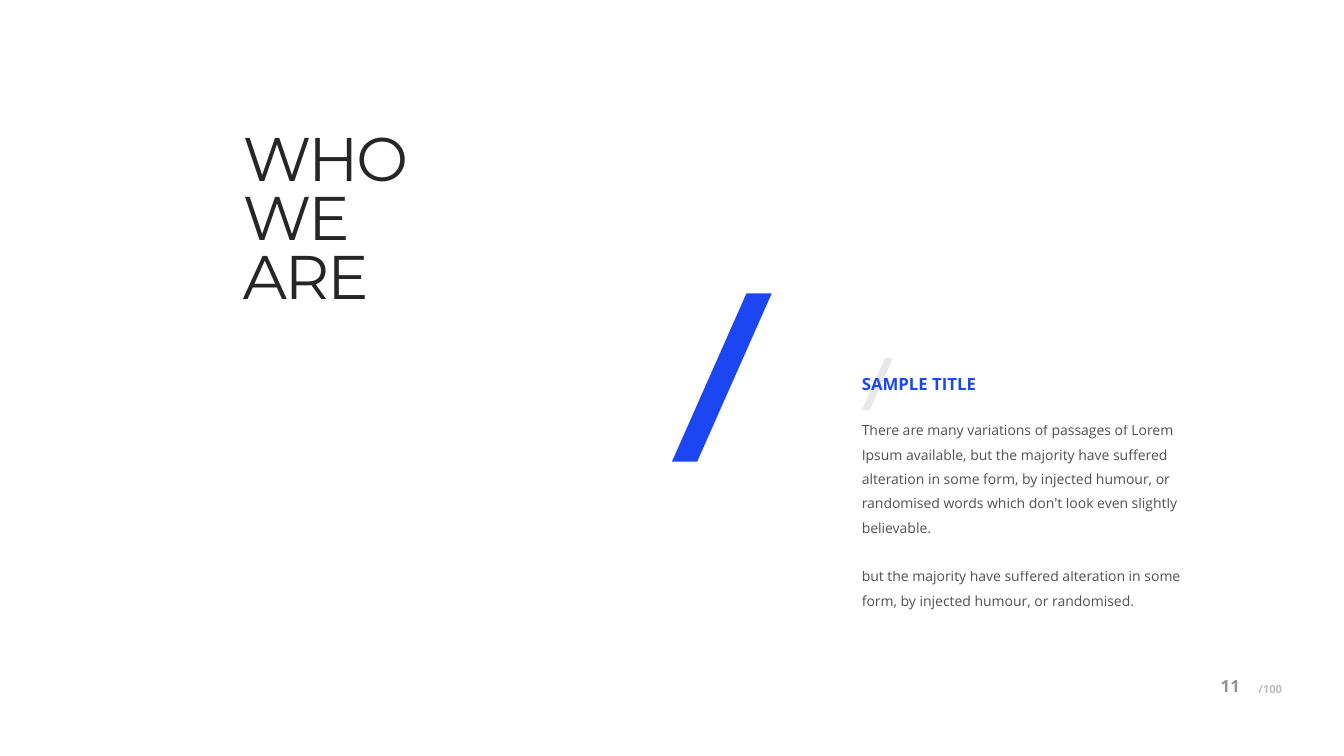
from lxml import etree
from pptx import Presentation
from pptx.dml.color import RGBColor
from pptx.enum import shapes, text
from pptx.oxml import ns
from pptx.util import Pt

INK = RGBColor(0x26, 0x26, 0x26)
BLUE = RGBColor(0x1D, 0x46, 0xF3)
HEADING_FONT = "Montserrat"
BODY_FONT = "Open Sans"

TITLE = "WHO\nWE\nARE"
SUBTITLE = "SAMPLE TITLE"
BODY = [
    "There are many variations of passages of Lorem Ipsum available, but the "
    "majority have suffered alteration in some form, by injected humour, or "
    "randomised words which don't look even slightly believable.",
    "but the majority have suffered alteration in some form, by injected "
    "humour, or randomised.",
]


def set_opacity(element, percent):
    for color in element.iter(ns.qn("a:srgbClr")):
        etree.SubElement(color, ns.qn("a:alpha"), val=str(percent * 1000))


def add_text(slide, box, paragraphs, size, font=BODY_FONT, color=INK, bold=False,
             opacity=100, spacing=None, gap=0, top=0, bottom=0, wrap=True,
             anchor=text.MSO_ANCHOR.TOP, align=text.PP_ALIGN.LEFT):
    shape = slide.shapes.add_textbox(*(Pt(length) for length in box))
    frame = shape.text_frame
    frame.word_wrap = wrap
    frame.vertical_anchor = anchor
    frame.margin_left = frame.margin_right = 0
    frame.margin_top, frame.margin_bottom = Pt(top), Pt(bottom)
    for index, wording in enumerate(paragraphs):
        paragraph = frame.add_paragraph() if index else frame.paragraphs[0]
        paragraph.text = wording
        paragraph.alignment = align
        paragraph.line_spacing = spacing
        if index:
            paragraph.space_before = Pt(gap)
        paragraph.font.name = font
        paragraph.font.size = Pt(size)
        paragraph.font.bold = bold
        paragraph.font.color.rgb = color
    if opacity < 100:
        set_opacity(frame._txBody, opacity)
    return shape


def add_slash(slide, box, color, opacity=100):
    slash = slide.shapes.add_shape(
        shapes.MSO_SHAPE.PARALLELOGRAM, *(Pt(length) for length in box))
    slash.adjustments[0] = 0.747
    slash.shadow.inherit = False
    slash.line.fill.background()
    slash.fill.solid()
    slash.fill.fore_color.rgb = color
    if opacity < 100:
        set_opacity(slash._element.spPr, opacity)


def add_page_number(slide, left, top):
    middle = text.MSO_ANCHOR.MIDDLE
    add_text(slide, (left + 3.6, top + 2.2, 40.3, 18), ["/100"], 8, bold=True,
             opacity=30, anchor=middle, align=text.PP_ALIGN.RIGHT)
    add_text(slide, (left, top, 40.3, 18), ["11"], 12, bold=True,
             opacity=50, anchor=middle)


def add_heading(slide, box):
    heading = add_text(slide, box, [TITLE], 44, HEADING_FONT, spacing=0.8, top=15.1)
    for run in heading.text_frame.paragraphs[0].runs:
        run.font._element.set("spc", "-150")


def add_description(slide, left, top, width):
    add_slash(slide, (left, top, 22.3, 37.4), INK, opacity=10)
    subtitle = add_text(slide, (left, top + 7.9, 82.8, 21.6), [SUBTITLE], 12,
                        color=BLUE, bold=True, top=3.6, bottom=3.6, wrap=False)
    subtitle.text_frame.auto_size = text.MSO_AUTO_SIZE.SHAPE_TO_FIT_TEXT
    add_text(slide, (left, top + 40.3, width, 154), BODY, 10, opacity=80,
             spacing=1.45, gap=17.4, bottom=3.6)


def main():
    presentation = Presentation()
    presentation.slide_width, presentation.slide_height = Pt(960), Pt(540)
    slide = presentation.slides.add_slide(presentation.slide_layouts[6])
    add_page_number(slide, 872, 481)
    add_heading(slide, (173.5, 80.6, 360, 117.4))
    add_description(slide, 615.6, 255.6, 249)
    add_slash(slide, (480, 209.5, 71.3, 120.2), BLUE)
    presentation.save("out.pptx")


if __name__ == "__main__":
    main()
